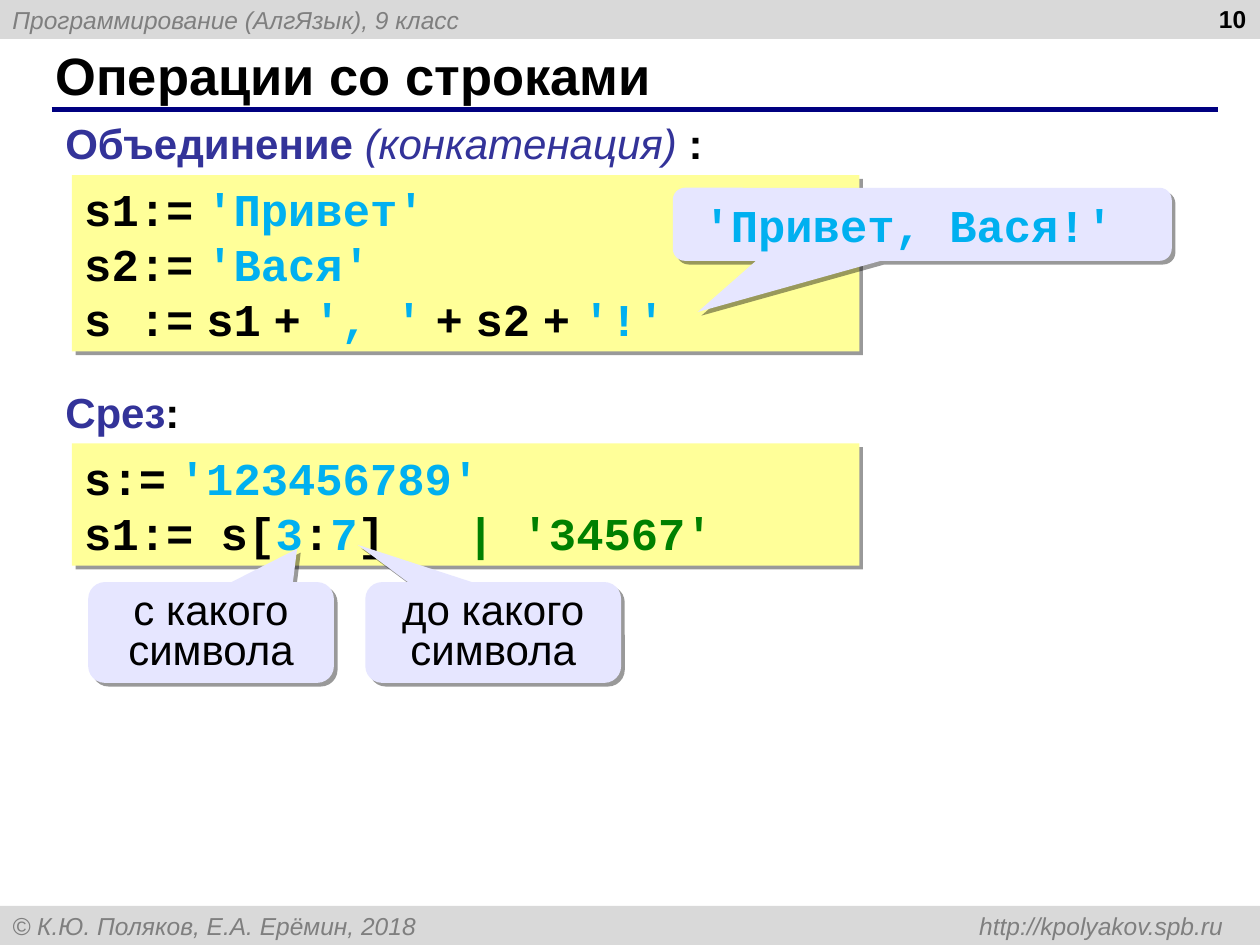
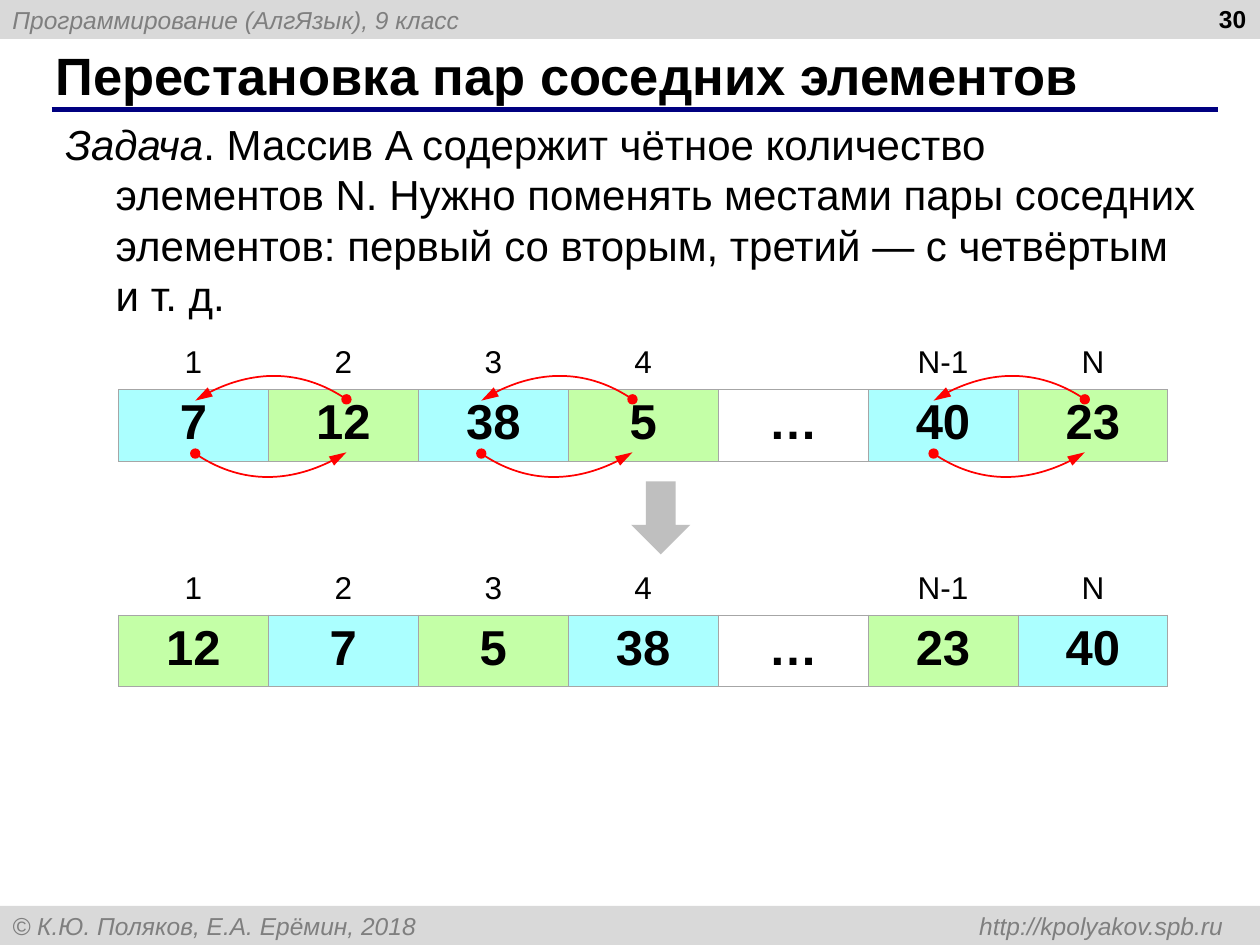
from lxml import etree
from pptx import Presentation
from pptx import util as u
from pptx.dml.color import RGBColor
from pptx.enum import shapes, text
from pptx.oxml import ns

# Shared colours, fonts and scale
BLACK = RGBColor(0x00, 0x00, 0x00)
GRAY_TEXT = RGBColor(0x7F, 0x7F, 0x7F)
BAND = RGBColor(0xD9, 0xD9, 0xD9)
NAVY = RGBColor(0x00, 0x00, 0x80)
INDIGO = RGBColor(0x33, 0x33, 0x99)
LITERAL = RGBColor(0x00, 0xB0, 0xF0)
COMMENT = RGBColor(0x00, 0x80, 0x00)
CODE_FILL = RGBColor(0xFF, 0xFF, 0x99)
CALLOUT_FILL = RGBColor(0xE6, 0xE6, 0xFF)
CYAN = RGBColor(0xAB, 0xFF, 0xFF)
GREEN = RGBColor(0xC4, 0xFF, 0xA7)
CELL_BORDER = RGBColor(0xA6, 0xA6, 0xA6)
RED = RGBColor(0xFF, 0x00, 0x00)
ARROW_GRAY = RGBColor(0xBF, 0xBF, 0xBF)
SANS, MONO = "Arial", "Courier New"
PX = 9144  # 100 px to the inch
NO_GRID = "{2D5ABB26-0587-4C30-8999-92F81FD0307C}"
GAP = (" ", {"name": SANS})  # narrow space between code tokens

LEFT, CENTER, RIGHT = (text.PP_ALIGN.LEFT, text.PP_ALIGN.CENTER,
                       text.PP_ALIGN.RIGHT)
TOP, MIDDLE = text.MSO_ANCHOR.TOP, text.MSO_ANCHOR.MIDDLE
KIND = shapes.MSO_SHAPE


def child(parent, tag, **attributes):
    element = etree.SubElement(parent, ns.qn(tag))
    for name, value in attributes.items():
        element.set(name, str(value))
    return element


def literal(words):
    return words, {"color": LITERAL}


def set_font(font, size=24, name=SANS, color=BLACK, bold=False, italic=False):
    font.size, font.name = u.Pt(size), name
    font.bold, font.italic = bold, italic
    font.color.rgb = color


def write(frame, lines, align=LEFT, anchor=TOP, wrap=True, **base):
    """Fill a text frame; a line is a string or a list of (text, style)."""
    frame.word_wrap = wrap
    frame.auto_size = text.MSO_AUTO_SIZE.NONE
    frame.vertical_anchor = anchor
    for number, line in enumerate(lines):
        para = frame.add_paragraph() if number else frame.paragraphs[0]
        para.alignment = align
        set_font(para.font, **base)
        for span in [line] if isinstance(line, str) else line:
            words, style = (span, {}) if isinstance(span, str) else span
            run = para.add_run()
            run.text = words
            set_font(run.font, **{**base, **style})
    return frame.paragraphs[0]


class Lesson:
    """The deck's style and the slide being drawn."""

    def __init__(self):
        self.deck = Presentation()
        self.deck.slide_width, self.deck.slide_height = 1000 * PX, 750 * PX
        self.layout = self.deck.slide_layouts[5]
        self.page = None

    def start(self, title, number):
        first = self.page is None
        self.page = self.deck.slides.add_slide(self.layout)
        if first:
            self.share_frame()
        heading = self.page.shapes.title
        heading.left, heading.top = 34 * PX, 33 * PX
        heading.width, heading.height = 916 * PX, 52 * PX
        write(heading.text_frame, [title], anchor=MIDDLE, size=30, bold=True)
        self.label(766, -2, 233, 52, [number], align=RIGHT, size=14, bold=True)

    def share_frame(self):
        """Put bands and title rule on the layout."""
        for holder in list(self.layout.placeholders):
            if holder.placeholder_format.type != shapes.PP_PLACEHOLDER.TITLE:
                holder.element.getparent().remove(holder.element)
        style = dict(anchor=MIDDLE, size=14, color=GRAY_TEXT, italic=True)
        header = self.box(KIND.RECTANGLE, 0, 0, 1000, 31, BAND)
        write(header.text_frame, ["Программирование (АлгЯзык), 9 класс"], **style)
        footer = self.box(KIND.RECTANGLE, 0, 719, 1000, 31, BAND)
        para = write(footer.text_frame, [
            "© К.Ю. Поляков, Е.А. Ерёмин, 2018 \thttp://kpolyakov.spb.ru"], **style)
        tabs = etree.Element(ns.qn("a:tabLst"))
        child(tabs, "a:tab", pos=961 * PX, algn="r")
        para._p.get_or_add_pPr().insert(0, tabs)
        rule = self.rule(41, 87, 967, 87)
        for shape in (header, footer, rule):
            self.layout.shapes.element.append(shape.element)

    def rule(self, x1, y1, x2, y2):
        line = self.page.shapes.add_connector(
            shapes.MSO_CONNECTOR.STRAIGHT, x1 * PX, y1 * PX, x2 * PX, y2 * PX)
        line.line.color.rgb, line.line.width = NAVY, u.Pt(3)
        child(line.element.spPr, "a:effectLst")
        return line

    def box(self, kind, x, y, width, height, fill, shadow=False):
        shape = self.page.shapes.add_shape(
            kind, x * PX, y * PX, width * PX, height * PX)
        shape.fill.solid()
        shape.fill.fore_color.rgb = fill
        shape.line.fill.background()
        shape.shadow.inherit = False
        if shadow:
            effects = shape.element.spPr.find(ns.qn("a:effectLst"))
            cast = child(effects, "a:outerShdw", dist=u.Pt(3), dir=45 * 60000,
                         algn="tl", rotWithShape=0)
            child(child(cast, "a:srgbClr", val=BLACK), "a:alpha", val=40000)
        return shape

    def label(self, x, y, width, height, lines, **style):
        shape = self.page.shapes.add_textbox(
            x * PX, y * PX, width * PX, height * PX)
        return write(shape.text_frame, lines, **style)

    def code(self, y, height, lines):
        shape = self.box(KIND.RECTANGLE, 57, y, 625, height, CODE_FILL, True)
        write(shape.text_frame, lines, anchor=MIDDLE, size=26, name=MONO, bold=True)

    def callout(self, x, y, width, height, tip, words, spacing=None, flip=False,
                **style):
        shape = self.box(KIND.ROUNDED_RECTANGULAR_CALLOUT, x, y, width, height,
                         CALLOUT_FILL, True)
        shape.adjustments[0], shape.adjustments[1] = tip
        if flip:
            shape.element.spPr.find(ns.qn("a:xfrm")).set("flipH", "1")
        para = write(shape.text_frame, [words], align=CENTER, **style)
        if spacing:
            para.line_spacing = spacing

    def array(self, y, values, fills):
        indexes = ["1", "2", "3", "4", "", "N-1", "N"]
        table = self.page.shapes.add_table(
            2, len(values), 94 * PX, y * PX, 833 * PX, 97 * PX).table
        table.first_row = table.horz_banding = False
        table._tbl.tblPr.find(ns.qn("a:tableStyleId")).text = NO_GRID
        for column in table.columns:
            column.width = 119 * PX
        table.rows[0].height, table.rows[1].height = 40 * PX, 57 * PX
        for column, (index, value, fill) in enumerate(zip(indexes, values, fills)):
            self.cell(table.cell(0, column), index, None, ["B"], 4.5, size=18)
            self.cell(table.cell(1, column), value, fill, "LRTB", 7,
                      size=28, bold=True)

    def cell(self, cell, words, fill, sides, before, **style):
        para = cell.text_frame.paragraphs[0]
        para.alignment, para.space_before = CENTER, u.Pt(before)
        set_font(para.font, **style)
        if words:
            run = para.add_run()
            run.text = words
            set_font(run.font, **style)
        properties = cell._tc.get_or_add_tcPr()
        for side in sides:
            line = child(properties, "a:ln" + side, w=u.Pt(0.45))
            child(child(line, "a:solidFill"), "a:srgbClr", val=CELL_BORDER)
        if fill is None:
            cell.fill.background()
        else:
            cell.fill.solid()
            cell.fill.fore_color.rgb = fill

    def curve(self, group, points):
        """Draw one Bezier arrow from a dot to a triangle."""
        builder = group.shapes.build_freeform(*points[0], scale=PX)
        builder.add_line_segments(points[1:], close=False)
        arrow = builder.convert_to_shape()
        steps = list(arrow.element.iter(ns.qn("a:lnTo")))
        bend = child(steps[0].getparent(), "a:cubicBezTo")
        for step in steps:
            bend.append(step[0])
            step.getparent().remove(step)
        arrow.fill.background()
        arrow.line.color.rgb, arrow.line.width = RED, u.Pt(1)
        arrow.shadow.inherit = False
        line = arrow.line._get_or_add_ln()
        child(line, "a:headEnd", type="oval")
        child(line, "a:tailEnd", type="triangle", w="med", len="lg")

    def swap(self, x):
        """Draw the two arrows that exchange a pair of cells."""
        group = self.page.shapes.add_group_shape()
        lower = [(x, 360), (x + 36, 385), (x + 86, 382), (x + 120, 359)]
        upper = [(2 * x + 120 - px, 677 - py) for px, py in lower]
        self.curve(group, upper)
        self.curve(group, lower)


def draw_strings(lesson):
    lesson.start("Операции со строками", "10")
    heading = dict(color=INDIGO, bold=True)
    colon = (":", {"color": BLACK})

    # Concatenation
    lesson.label(42, 88, 547, 50, [[
        "Объединение ", ("(конкатенация) ", {"bold": False, "italic": True}),
        colon]], **heading)
    lesson.code(139, 140, [
        ["s1:=", GAP, literal("'Привет'")],
        ["s2:=", GAP, literal("'Вася'")],
        ["s :=", GAP, "s1", GAP, "+", GAP, literal("', '"), GAP, "+", GAP,
         "s2", GAP, "+", GAP, literal("'!'")]])
    lesson.callout(534, 149, 396, 58, (-0.45, 1.2), "'Привет, Вася!' ",
                   wrap=False, size=26, name=MONO, color=LITERAL, bold=True)

    # Slice
    lesson.label(42, 302, 547, 50, [["Срез", colon]], **heading)
    lesson.code(352, 97, [
        ["s:=", GAP, literal("'123456789'")],
        ["s1:= s[", literal("3"), ":", literal("7"), "]   ",
         ("| '34567'", {"color": COMMENT})]])
    lesson.callout(70, 462, 195, 80, (0.35, -0.83), "с какого символа", 0.8)
    lesson.callout(290, 462, 203, 80, (0.53, -0.87), "до какого символа", 0.8,
                   flip=True)


def draw_pairs(lesson):
    lesson.start("Перестановка пар соседних элементов", "30")

    # Problem statement with a hanging indent
    para = lesson.label(42, 89, 921, 170, [[
        ("Задача", {"italic": True}),
        ". Массив A содержит чётное количество элементов N. Нужно поменять "
        "местами пары соседних элементов: первый со вторым, третий — "
        "с четвёртым и т. д."]])
    indent = para._p.get_or_add_pPr()
    indent.set("marL", str(40 * PX))
    indent.set("indent", str(-40 * PX))

    # Array before and after the swaps
    lesson.array(269, ["7", "12", "38", "5", "…", "40", "23"],
                 [CYAN, GREEN, CYAN, GREEN, None, CYAN, GREEN])
    for x in (155, 382, 741):
        lesson.swap(x)
    lesson.array(448, ["12", "7", "5", "38", "…", "23", "40"],
                 [GREEN, CYAN, GREEN, CYAN, None, GREEN, CYAN])
    lesson.box(KIND.DOWN_ARROW, 501, 382, 47, 58, ARROW_GRAY)


def main():
    lesson = Lesson()
    draw_strings(lesson)
    draw_pairs(lesson)
    lesson.deck.save("out.pptx")


if __name__ == "__main__":
    main()
